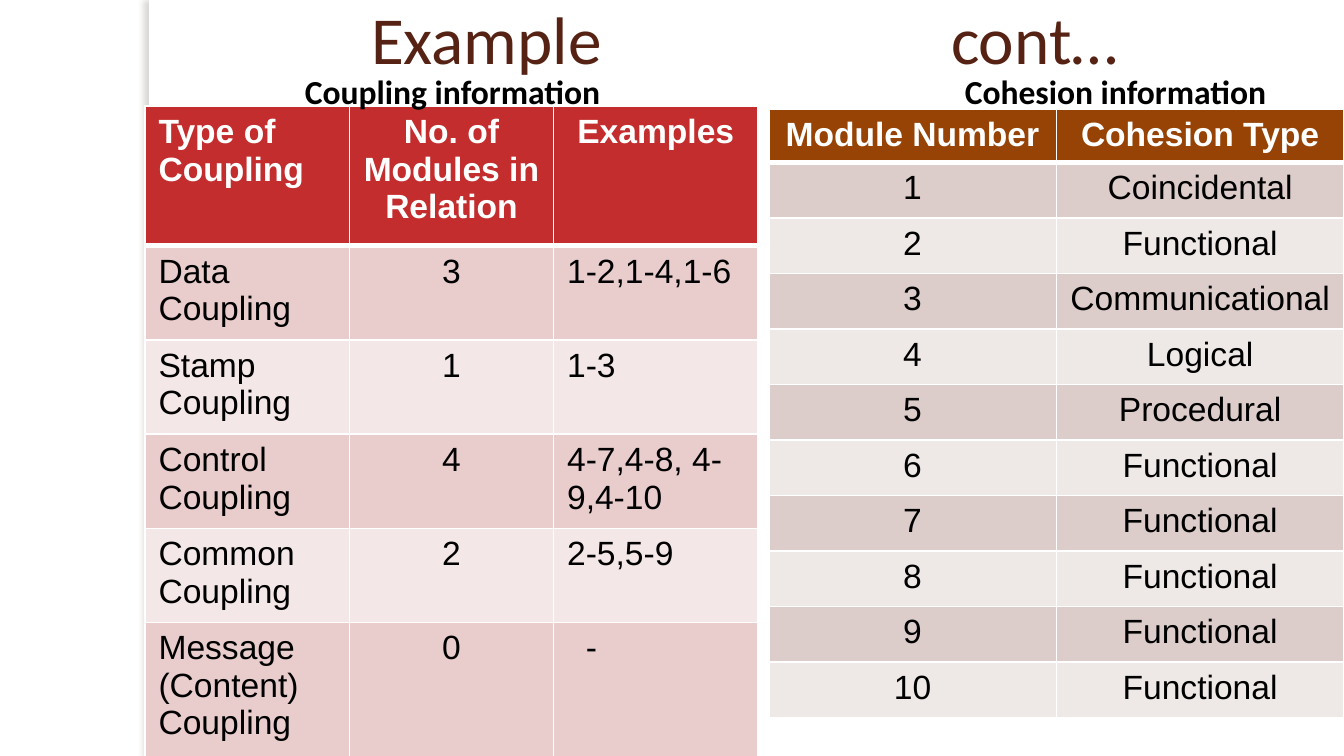
from pptx import Presentation
from pptx.dml.color import RGBColor
from pptx.enum import shapes, text
from pptx.oxml import parse_xml
from pptx.oxml.ns import nsdecls, qn
from pptx.util import Inches, Pt

WHITE = RGBColor(0xFF, 0xFF, 0xFF)
BLACK = RGBColor(0x00, 0x00, 0x00)
BROWN = RGBColor(0x56, 0x22, 0x14)
RED = RGBColor(0xC3, 0x2D, 0x2E)
PINK = RGBColor(0xE9, 0xCC, 0xCC)
PALE_PINK = RGBColor(0xF4, 0xE7, 0xE7)
RUST = RGBColor(0x96, 0x43, 0x05)
TAUPE = RGBColor(0xDC, 0xCD, 0xCA)
PALE_TAUPE = RGBColor(0xEE, 0xE8, 0xE6)

LEFT, CENTER = text.PP_ALIGN.LEFT, text.PP_ALIGN.CENTER
TITLE_FONT = {"name": "Calibri", "size": Pt(36)}
CAPTION_FONT = {"name": "Calibri", "size": Pt(18), "bold": True}
HEAD_FONT = {"name": "Arial", "size": Pt(18), "bold": True}
BODY_FONT = {"name": "Arial", "size": Pt(18), "bold": False}

COUPLING = [
    ("Type of Coupling", "No. of Modules in Relation", "Examples"),
    ("Data Coupling", "3", "1-2,1-4,1-6"),
    ("Stamp Coupling", "1", "1-3"),
    ("Control Coupling", "4", "4-7,4-8, 4-9,4-10"),
    ("Common Coupling", "2", "2-5,5-9"),
    ("Message (Content) Coupling", "0", "-"),
]
COHESION_TYPES = ["Coincidental", "Functional", "Communicational", "Logical",
                  "Procedural"] + ["Functional"] * 5
COHESION = [("Module Number", "Cohesion Type")] + [
    (str(n), kind) for n, kind in enumerate(COHESION_TYPES, 1)]


def style_font(font, values, color):
    for name, value in values.items():
        setattr(font, name, value)
    font.color.rgb = color


def indent(p, inches):
    pPr = p._p.get_or_add_pPr()
    pPr.set("marL", str(Inches(inches)))
    pPr.set("indent", "0")


def add_side_strip(slide, x, y, w, h):
    sp = slide.shapes.add_shape(shapes.MSO_SHAPE.RECTANGLE, Inches(x), Inches(y),
                                Inches(w), Inches(h))
    sp.fill.solid()
    sp.fill.fore_color.rgb = WHITE
    sp.line.fill.background()
    sp.shadow.inherit = False
    effects = sp._element.spPr.find(qn("a:effectLst"))
    effects.append(parse_xml(
        f'<a:outerShdw {nsdecls("a")} blurRad="{Pt(3)}" dist="{Pt(3)}" dir="10800000" '
        'algn="tl" rotWithShape="0"><a:srgbClr val="6F6A5F"><a:alpha val="25000"/>'
        '</a:srgbClr></a:outerShdw>'))


def add_text(slide, x, y, w, h, parts, font, color):
    tf = slide.shapes.add_textbox(Inches(x), Inches(y), Inches(w), Inches(h)).text_frame
    tf.word_wrap = True
    p = tf.paragraphs[0]
    for part in parts:
        r = p.add_run()
        r.text = part
        style_font(r.font, font, color)
    return tf


def add_title(slide, x, y, w, h):
    tf = add_text(slide, x, y, w, h, ["Example", " ", "cont…"], TITLE_FONT, BROWN)
    tf.vertical_anchor = text.MSO_ANCHOR.MIDDLE
    p = tf.paragraphs[0]
    p.alignment = CENTER
    p.runs[1].font._element.set("spc", "17900")


def add_caption(slide, x, y, w, h, words):
    tf = add_text(slide, x, y, w, h, [words], CAPTION_FONT, BLACK)
    indent(tf.paragraphs[0], 1)


def add_borders(cell, bottom):
    tcPr = cell._tc.get_or_add_tcPr()
    for side, width in (("L", 1), ("R", 1), ("T", 1), ("B", bottom)):
        tcPr.append(parse_xml(
            f'<a:ln{side} {nsdecls("a")} w="{Pt(width)}"><a:solidFill>'
            f'<a:srgbClr val="{WHITE}"/></a:solidFill></a:ln{side}>'))


def add_grid(slide, x, y, col_width, heights, rows, aligns, fills):
    cols = len(aligns)
    table = slide.shapes.add_table(len(rows), cols, Inches(x), Inches(y),
                                   Inches(col_width * cols),
                                   Inches(sum(heights))).table
    for col in table.columns:
        col.width = Inches(col_width)
    head_fill, *bands = fills
    for i, values in enumerate(rows):
        head = i == 0
        table.rows[i].height = Inches(heights[i])
        for j, value in enumerate(values):
            cell = table.cell(i, j)
            cell.text = value
            add_borders(cell, 3 if head else 1)
            cell.fill.solid()
            cell.fill.fore_color.rgb = head_fill if head else bands[(i - 1) % 2]
            p = cell.text_frame.paragraphs[0]
            p.alignment = CENTER if head and j else aligns[j]
            style_font(p.runs[0].font, HEAD_FONT if head else BODY_FONT,
                       WHITE if head else BLACK)
    return table


def add_coupling(slide, x, y):
    table = add_grid(slide, x, y + 0.31, 1.52, [1.04] + [0.7] * 4 + [0.99], COUPLING,
                     [LEFT, CENTER, LEFT], [RED, PINK, PALE_PINK])
    indent(table.cell(5, 2).text_frame.paragraphs[0], 0.14)
    add_caption(slide, x + 0.09, y, 4.55, 0.4, "Coupling information")


def add_cohesion(slide, x, y):
    add_grid(slide, x, y + 0.33, 2.14, [0.4] + [4.13 / 10] * 10, COHESION,
             [CENTER, CENTER], [RUST, TAUPE, PALE_TAUPE])
    add_caption(slide, x + 0.36, y, 4.55, 0.4, "Cohesion information")


def main():
    prs = Presentation()
    prs.slide_width = Inches(10)
    prs.slide_height = prs.slide_width * 9 // 16
    slide = prs.slides.add_slide(prs.slide_layouts[6])
    add_side_strip(slide, 1.11, 0, 0.08, 5.63)
    add_title(slide, 1.08, 0, 8.92, 0.56)
    add_coupling(slide, 1.08, 0.48)
    add_cohesion(slide, 5.72, 0.48)
    prs.save("out.pptx")


if __name__ == "__main__":
    main()
